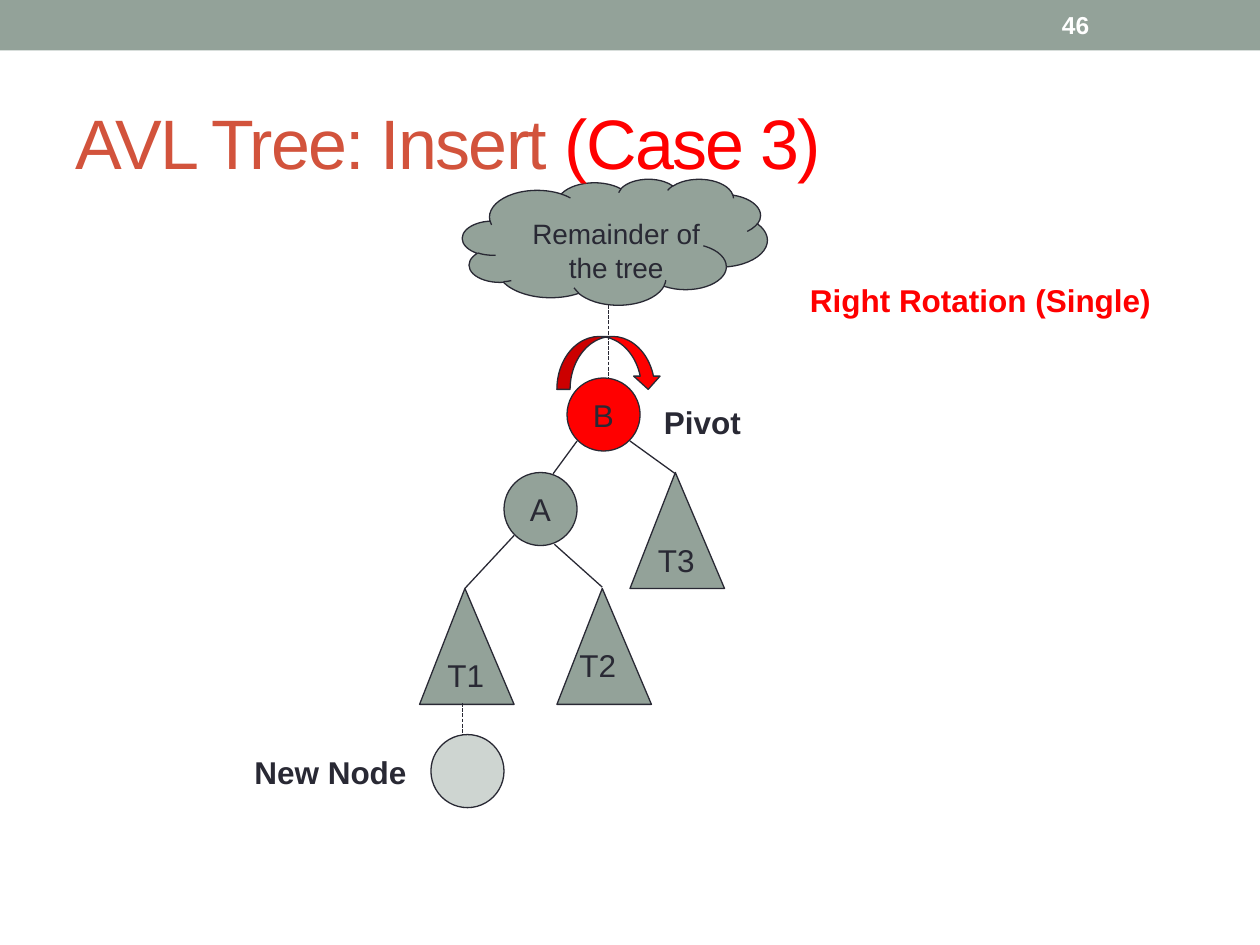
"""Build the AVL tree insertion slide (case 3, single right rotation)."""
from dataclasses import dataclass
from typing import NamedTuple, Optional

from lxml import etree
from pptx import Presentation
from pptx.dml.color import RGBColor
from pptx.enum import dml, shapes, text
from pptx.oxml.ns import qn
from pptx.util import Inches, Pt

KIND = shapes.MSO_SHAPE


@dataclass(frozen=True)
class Theme:
    font: str = "Arial"
    sage: str = "93A299"
    ink: str = "292934"
    red: str = "FF0000"
    rust: str = "D2533C"
    white: str = "FFFFFF"
    title_size: int = 40
    label_size: int = 18
    cloud_size: int = 16
    number_size: int = 14
    line_width: float = 0.75


THEME = Theme()


class Node(NamedTuple):
    kind: KIND
    left: float
    top: float
    width: float
    height: float
    label: str = ""
    fill: str = THEME.sage
    alpha: Optional[int] = None


class Label(NamedTuple):
    words: str
    left: float
    top: float
    width: float
    height: float
    size: int = THEME.label_size
    color: str = THEME.ink
    bold: bool = True
    align: text.PP_ALIGN = text.PP_ALIGN.LEFT
    anchor: text.MSO_ANCHOR = text.MSO_ANCHOR.TOP
    wrap: bool = False


class Edge(NamedTuple):
    x1: float
    y1: float
    x2: float
    y2: float
    dashed: bool = False


def circle(left: float, top: float, label: str = "", fill: str = THEME.sage,
           alpha: Optional[int] = None) -> Node:
    """Describe a tree node."""
    return Node(KIND.OVAL, left, top, 0.58, 0.58, label, fill, alpha)


def subtree(left: float, top: float, label: str = "") -> Node:
    """Describe a triangular subtree."""
    return Node(KIND.ISOSCELES_TRIANGLE, left, top, 0.75, 0.92, label)


CLOUD = Node(KIND.CLOUD, 3.67, 1.42, 2.42, 1)
ARROW = Node(KIND.CURVED_DOWN_ARROW, 4.42, 2.67, 0.83, 0.42, fill=THEME.red)
NODES = [
    circle(4, 3.75, "A"),
    circle(4.5, 3, "B", THEME.red),
    subtree(5, 3.75, "T3"),
    subtree(4.42, 4.67),
    subtree(3.33, 4.67, "T1"),
    circle(3.42, 5.83, alpha=45),
]
EDGES = [
    Edge(3.67, 5.58, 3.67, 5.83, True),
    Edge(4.83, 2.42, 4.83, 3, True),
    Edge(4.58, 3.5, 4.39, 3.76),
    Edge(5, 3.5, 5.36, 3.76),
    Edge(4.08, 4.25, 3.69, 4.67),
    Edge(4.4, 4.32, 4.78, 4.66),
]
LABELS = [
    Label("46", 8.33, 0.02, 1.17, 0.36, THEME.number_size, THEME.white,
          anchor=text.MSO_ANCHOR.MIDDLE, wrap=True),
    Label("Remainder of\nthe tree", 4.03, 1.67, 1.72, 0.64, THEME.cloud_size,
          bold=False, align=text.PP_ALIGN.CENTER, wrap=True),
    Label("New Node", 1.92, 5.93, 1.41, 0.43),
    Label("T2", 4.5, 5.08, 0.51, 0.43, bold=False),
    Label("Pivot", 5.17, 3.15, 0.82, 0.43),
    Label("Right Rotation (Single)", 6.33, 2.18, 2.94, 0.4, color=THEME.red),
]


def rgb(color: str) -> RGBColor:
    """Turn a hex colour into an RGBColor."""
    return RGBColor.from_string(color)


def style_para(para, size: int, color: str, bold: bool = False,
               align: text.PP_ALIGN = text.PP_ALIGN.LEFT) -> None:
    """Set the font and alignment of a paragraph."""
    para.alignment = align
    para.font.name = THEME.font
    para.font.size = Pt(size)
    para.font.bold = bold
    para.font.color.rgb = rgb(color)


def draw_node(page, node: Node):
    """Draw a filled shape with its centred label."""
    shape = page.shapes.add_shape(node.kind, *map(Inches, node[1:5]))
    shape.shadow.inherit = False
    shape.fill.solid()
    shape.fill.fore_color.rgb = rgb(node.fill)
    shape.line.color.rgb = rgb(THEME.ink)
    shape.line.width = Pt(THEME.line_width)
    if node.kind == KIND.ISOSCELES_TRIANGLE:
        shape.adjustments[0] = 0.48
    if node.alpha is not None:
        tint = shape.element.spPr.find(qn("a:solidFill"))[0]
        etree.SubElement(tint, qn("a:alpha"), val=str(node.alpha * 1000))
    if node.label:
        frame = shape.text_frame
        frame.text = node.label
        frame.word_wrap = False
        frame.vertical_anchor = text.MSO_ANCHOR.MIDDLE
        style_para(frame.paragraphs[0], THEME.label_size, THEME.ink,
                   align=text.PP_ALIGN.CENTER)
    return shape


def draw_edge(page, edge: Edge) -> None:
    """Draw a solid or dashed line."""
    line = page.shapes.add_connector(shapes.MSO_CONNECTOR.STRAIGHT,
                                     *map(Inches, edge[:4]))
    line.line.color.rgb = rgb(THEME.ink)
    line.line.width = Pt(THEME.line_width)
    if edge.dashed:
        line.line.dash_style = dml.MSO_LINE.SQUARE_DOT
    etree.SubElement(line.element.spPr, qn("a:effectLst"))


def draw_label(page, label: Label) -> None:
    """Draw a text box."""
    box = page.shapes.add_textbox(*map(Inches, label[1:5]))
    frame = box.text_frame
    frame.text = label.words
    frame.word_wrap = label.wrap
    frame.vertical_anchor = label.anchor
    for para in frame.paragraphs:
        style_para(para, label.size, label.color, label.bold, label.align)


def draw_title(page):
    """Place the title and colour its case number."""
    title = page.shapes.title
    title.left, title.top, title.width, title.height = map(
        Inches, (0.5, 0.58, 9, 1.08))
    title.text_frame.vertical_anchor = text.MSO_ANCHOR.MIDDLE
    para = title.text_frame.paragraphs[0]
    style_para(para, THEME.title_size, THEME.rust)
    for words, color in (("AVL Tree: Insert ", THEME.rust),
                         ("(Case 3)", THEME.red)):
        span = para.add_run()
        span.text = words
        span.font.color.rgb = rgb(color)
        span.font._element.set("spc", "-100")
    return title


def main() -> None:
    """Build and save the slide."""
    deck = Presentation()
    deck.slide_width, deck.slide_height = Inches(10), Inches(7.5)
    page = deck.slides.add_slide(deck.slide_layouts[5])
    band = draw_node(page, Node(KIND.RECTANGLE, 0, 0, 10, 0.4))
    band.line.fill.background()
    cloud = draw_node(page, CLOUD)
    title = draw_title(page)
    cloud.element.addnext(title.element)
    for node in NODES:
        draw_node(page, node)
    for edge in EDGES:
        draw_edge(page, edge)
    draw_node(page, ARROW)
    for label in LABELS:
        draw_label(page, label)
    deck.save("out.pptx")


if __name__ == "__main__":
    main()
